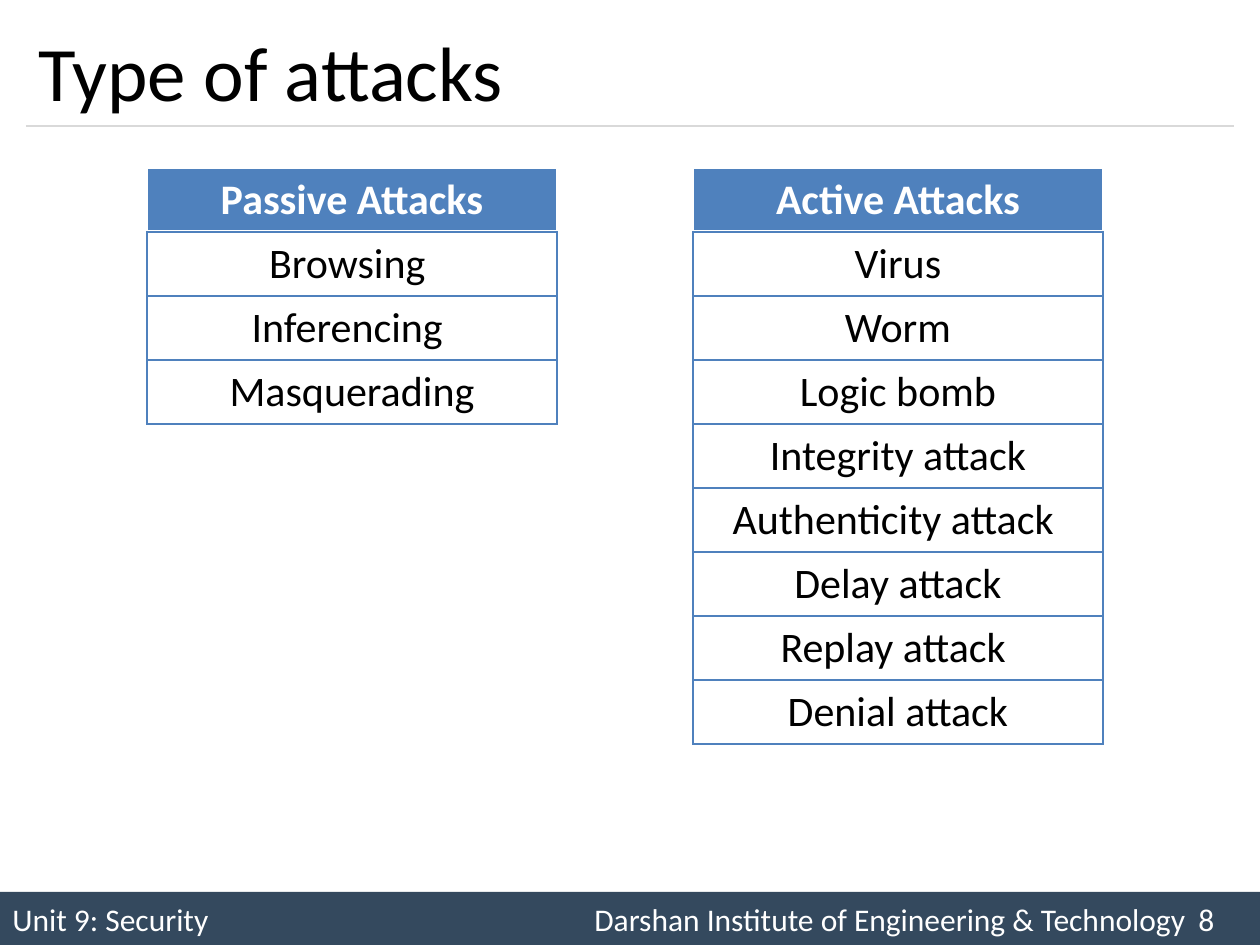
"""Build the "Type of attacks" slide with its two columns of attack names."""
from lxml.etree import SubElement
from pptx import Presentation
from pptx.dml.color import RGBColor
from pptx.enum.shapes import MSO_CONNECTOR, MSO_SHAPE
from pptx.enum.text import MSO_ANCHOR, PP_ALIGN
from pptx.oxml.ns import qn
from pptx.util import Pt

PX = 914400 // 126
COLORS = {
    "bar": "34495E",
    "rule": "D9D9D9",
    "accent": "4F81BD",
    "light": "FFFFFF",
    "ink": "000000",
}
COLUMNS = {
    147: ["Passive Attacks", "Browsing ", "Inferencing ", "Masquerading"],
    693: ["Active Attacks", "Virus", "Worm", "Logic bomb", "Integrity attack",
          "Authenticity attack ", "Delay attack", "Replay attack ", "Denial attack"],
}
FIRST_TOP, ROW_PITCH, ROW_HEIGHT, COLUMN_WIDTH = 168, 64, 63, 410


def style_text(paragraph, size, color, bold=False):
    for span in paragraph.runs:
        span.font.name = "Calibri"
        span.font.size = Pt(size)
        span.font.bold = bold
        span.font.color.rgb = RGBColor.from_string(COLORS[color])


def set_borders(cell, color, bottom_width):
    properties = cell._tc.get_or_add_tcPr()
    for side, width in (("lnL", 1), ("lnR", 1), ("lnT", 1), ("lnB", bottom_width)):
        line = SubElement(properties, qn(f"a:{side}"), w=str(Pt(width)))
        fill = SubElement(line, qn("a:solidFill"))
        SubElement(fill, qn("a:srgbClr"), val=COLORS[color])


deck = Presentation()
deck.slide_width, deck.slide_height = 1260 * PX, 945 * PX
page = deck.slides.add_slide(deck.slide_layouts[5])

footer = page.shapes.add_shape(MSO_SHAPE.RECTANGLE, 0, 892 * PX, 1260 * PX, 53 * PX)
footer.shadow.inherit = False
footer.fill.solid()
footer.fill.fore_color.rgb = RGBColor.from_string(COLORS["bar"])
footer.line.fill.background()
footer.text_frame.vertical_anchor = MSO_ANCHOR.MIDDLE
footer_line = footer.text_frame.paragraphs[0]
footer_line.text = "Unit 9: Security\tDarshan Institute of Engineering & Technology\t8"
footer_line.alignment = PP_ALIGN.LEFT
tab_list = SubElement(footer_line._p.get_or_add_pPr(), qn("a:tabLst"))
for tab in (582, 1186):
    SubElement(tab_list, qn("a:tab"), pos=str(tab * PX), algn="l")
style_text(footer_line, 18, "light")

rule = page.shapes.add_connector(
    MSO_CONNECTOR.STRAIGHT, 26 * PX, 126 * PX, 1234 * PX, 126 * PX)
rule.line.color.rgb = RGBColor.from_string(COLORS["rule"])
rule.line.width = Pt(0.75)
SubElement(rule._element.spPr, qn("a:effectLst"))

title = page.shapes.title
title.left, title.top, title.width, title.height = 26 * PX, 15 * PX, 1208 * PX, 111 * PX
title.text_frame.text = "Type of attacks"
title.text_frame.vertical_anchor = MSO_ANCHOR.MIDDLE
heading = title.text_frame.paragraphs[0]
heading.alignment = PP_ALIGN.LEFT
style_text(heading, 44, "ink")

for left, names in COLUMNS.items():
    for row, name in enumerate(names):
        is_header = row == 0
        top = FIRST_TOP + row * ROW_PITCH
        table = page.shapes.add_table(
            1, 1, left * PX, top * PX, COLUMN_WIDTH * PX, ROW_HEIGHT * PX).table
        table.first_row = is_header
        table.horz_banding = False
        cell = table.cell(0, 0)
        cell.text_frame.text = name
        label = cell.text_frame.paragraphs[0]
        label.alignment = PP_ALIGN.CENTER
        style_text(label, 24, "light" if is_header else "ink", is_header)
        if is_header:
            set_borders(cell, "light", 3)
            cell.fill.solid()
            cell.fill.fore_color.rgb = RGBColor.from_string(COLORS["accent"])
        else:
            set_borders(cell, "accent", 1)
            cell.fill.background()

deck.save("out.pptx")
